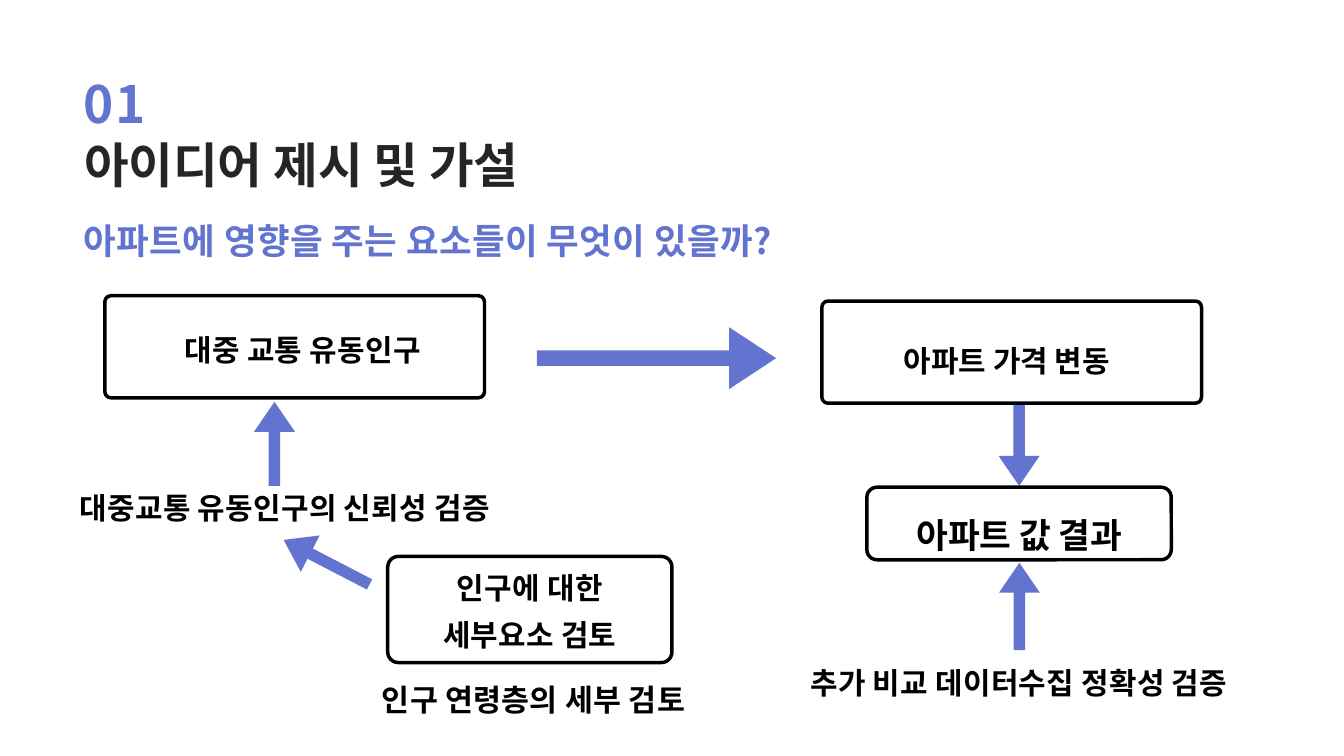
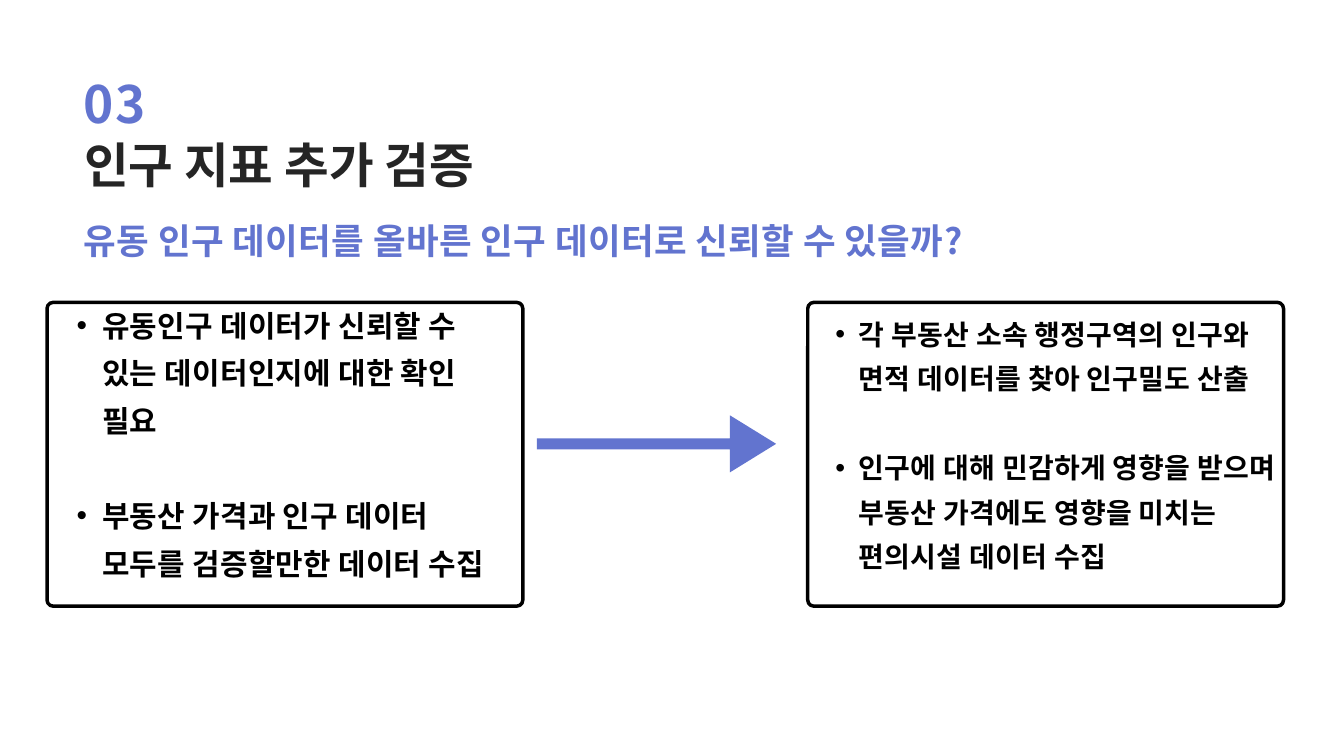
from lxml import etree
from pptx import Presentation
from pptx import util as u
from pptx.dml.color import RGBColor
from pptx.enum import shapes, text
from pptx.oxml.ns import qn

BLUE = RGBColor(0x62, 0x74, 0xCF)
INK = RGBColor(0x25, 0x25, 0x25)
BLACK = RGBColor(0, 0, 0)
FONT = "Noto Sans CJK KR"
LEFT, MID = text.PP_ALIGN.LEFT, text.PP_ALIGN.CENTER
ARROW = shapes.MSO_SHAPE.RIGHT_ARROW
ROUND = shapes.MSO_SHAPE.ROUNDED_RECTANGLE

deck = Presentation()
deck.slide_width, deck.slide_height = u.Inches(20), u.Inches(11.25)
COL = deck.slide_width / 20
ROW = deck.slide_height / 11.25


def write(page, at, lines, size=32, lead=49, color=BLACK, align=MID,
          spc=0.3, inset=0, mid=False, hang=0, gap=0):
    x, y, w, h = at
    box = page.shapes.add_textbox(int(x * COL), int(y * ROW), int(w * COL), int(h * ROW))
    frame = box.text_frame
    frame.word_wrap = True
    frame.margin_left = frame.margin_right = u.Inches(inset)
    frame.margin_top = frame.margin_bottom = u.Inches(inset)
    frame.vertical_anchor = text.MSO_ANCHOR.MIDDLE if mid else text.MSO_ANCHOR.TOP
    for i, line in enumerate(lines):
        para = frame.add_paragraph() if i else frame.paragraphs[0]
        if hang:
            para.level = 1
            props = para._p.get_or_add_pPr()
            props.set("marL", str(u.Inches(2 * hang)))
            props.set("indent", str(-u.Inches(hang)))
            etree.SubElement(props, qn("a:buFont")).set("typeface", "Arial")
            etree.SubElement(props, qn("a:buChar")).set("char", "•")
        para.alignment = align
        para.line_spacing = u.Pt(lead)
        if i and gap:
            para.space_before = u.Pt(gap)
        run = para.add_run()
        run.text = line
        font = run.font
        font.size, font.bold, font.name = u.Pt(size), True, FONT
        font.color.rgb = color
        props = run._r.get_or_add_rPr()
        props.set("spc", str(round(spc * 100)))
        etree.SubElement(props, qn("a:ea")).set("typeface", FONT)


def draw(page, kind, at, adjs, turn=0):
    x, y, w, h = at
    item = page.shapes.add_shape(kind, int(x * COL), int(y * ROW), int(w * COL), int(h * ROW))
    item.shadow.inherit = False
    item.rotation = turn
    for i, adj in enumerate(adjs):
        item.adjustments[i] = adj
    if kind == ARROW:
        item.fill.solid()
        item.fill.fore_color.rgb = BLUE
        item.line.fill.background()
    else:
        item.fill.background()
        item.line.color.rgb = BLACK
        item.line.width = u.Pt(3.75)


heads = [
    ("01", "아이디어 제시 및 가설", "아파트에 영향을 주는 요소들이 무엇이 있을까?"),
    ("03", "인구 지표 추가 검증", "유동 인구 데이터를 올바른 인구 데이터로 신뢰할 수 있을까?"),
]
pages = []
for num, title, ask in heads:
    page = deck.slides.add_slide(deck.slide_layouts[6])
    write(page, (1.25, 2.84, 13.4, 0.94), [ask], size=38, lead=76, color=BLUE, align=LEFT, spc=0.4)
    write(page, (1.25, 0.46, 1.53, 1.37), [num], size=55, lead=110, color=BLUE, align=LEFT, spc=1.3)
    write(page, (1.25, 1.43, 7.91, 1.3), [title], size=52, lead=104, color=INK, align=LEFT, spc=0)
    pages.append(page)
idea, proof = pages

draw(idea, ARROW, (7.99, 4.87, 3.56, 0.92), (0.25, 0.76))
for x, y, w, turn in [
    (14.55, 6.31, 1.23, 90),
    (3.46, 6.3, 1.25, 270),
    (14.52, 8.72, 1.3, 270),
    (4.14, 8.06, 1.44, 207.4),
]:
    draw(idea, ARROW, (x, y, w, 0.61), (0.28, 0.73), turn)

for at, adj in [
    ((1.56, 4.4, 5.65, 1.52), 0.06),
    ((12.23, 4.48, 5.65, 1.52), 0.06),
    ((5.77, 8.28, 4.23, 1.58), 0.1),
    ((12.9, 7.25, 4.53, 1.08), 0.14),
]:
    draw(idea, ROUND, at, [adj])

write(idea, (5.77, 7.98, 4.23, 2.06), ["인구에 대한", "세부요소 검토"], lead=50.9, inset=0.06, mid=True)
write(idea, (2.53, 4.79, 3.95, 0.65), ["대중 교통 유동인구"])
write(idea, (0.88, 7.2, 6.72, 0.6), ["대중교통 유동인구의 신뢰성 검증"], lead=44.8)
write(idea, (13.25, 4.66, 3.47, 0.87), ["아파트 가격 변동"], lead=70, spc=0)
write(idea, (13.41, 7.24, 3.52, 0.85), ["아파트 값 결과"], size=37, lead=74, spc=0)
write(idea, (11.83, 9.8, 6.67, 0.59), ["추가 비교 데이터수집 정확성 검증"], lead=44.8)
write(idea, (4.86, 10.05, 6.16, 0.61), ["인구 연령층의 세부 검토"], size=32.5, lead=45.5)

draw(proof, ARROW, (7.99, 6.18, 3.56, 0.85), (0.19, 0.81))
for x, y, size, lead, hang, lines in [
    (0.7, 4.03, 32, 50.9, 0.38, [
        "유동인구 데이터가 신뢰할 수 있는 데이터인지에 대한 확인 필요",
        "부동산 가격과 인구 데이터 모두를 검증할만한 데이터 수집"]),
    (12.02, 4.07, 30, 47.7, 0.35, [
        "각 부동산 소속 행정구역의 인구와 면적 데이터를 찾아 인구밀도 산출",
        "인구에 대해 민감하게 영향을 받으며 부동산 가격에도 영향을 미치는 편의시설 데이터 수집"]),
]:
    draw(proof, ROUND, (x, 4.5, 7.08, 4.52), [0.02])
    write(proof, (x, y, 7.08, 9.02 - y), lines, size=size, lead=lead, align=LEFT,
          inset=0.06, mid=True, hang=hang, gap=lead)

deck.save("out.pptx")
